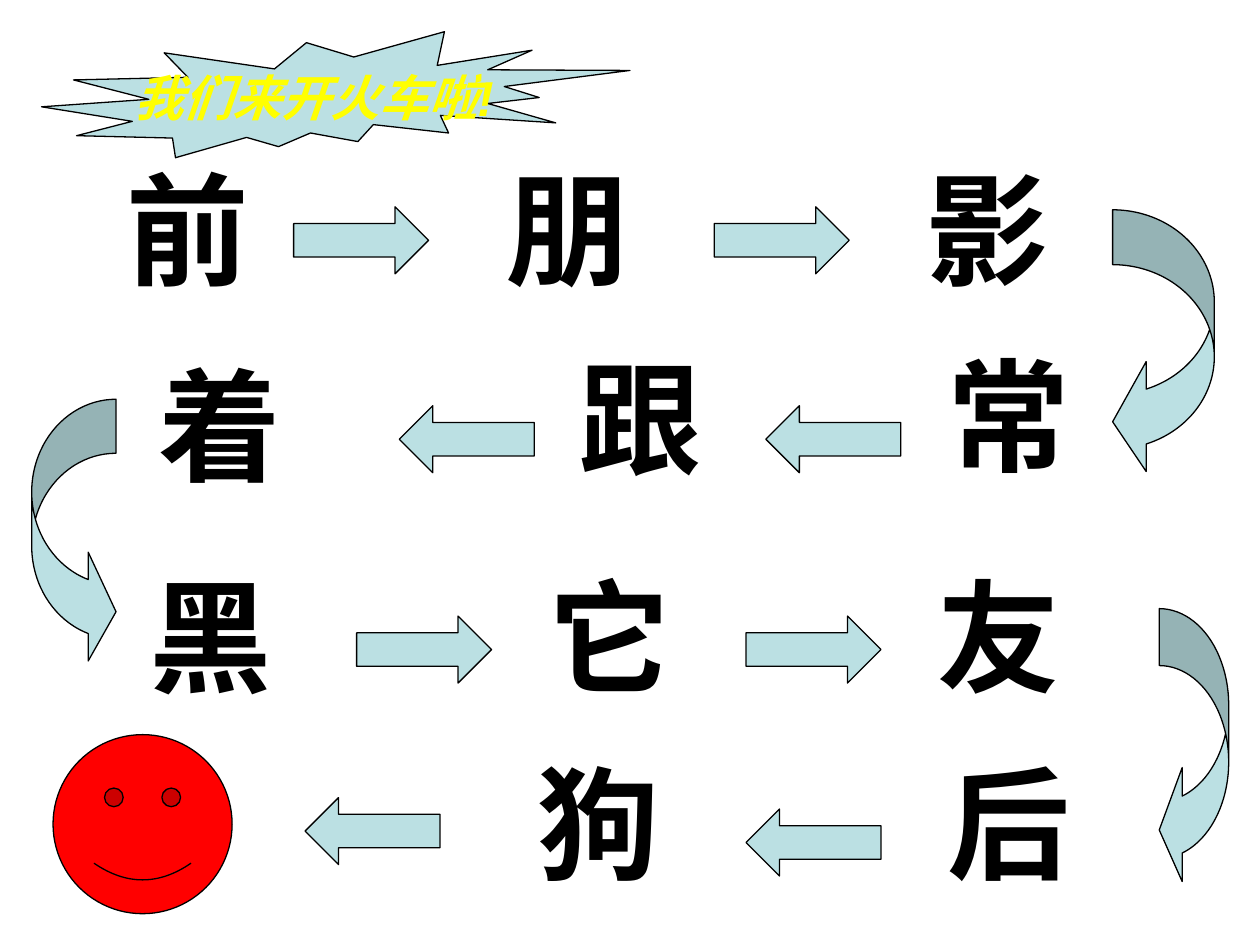
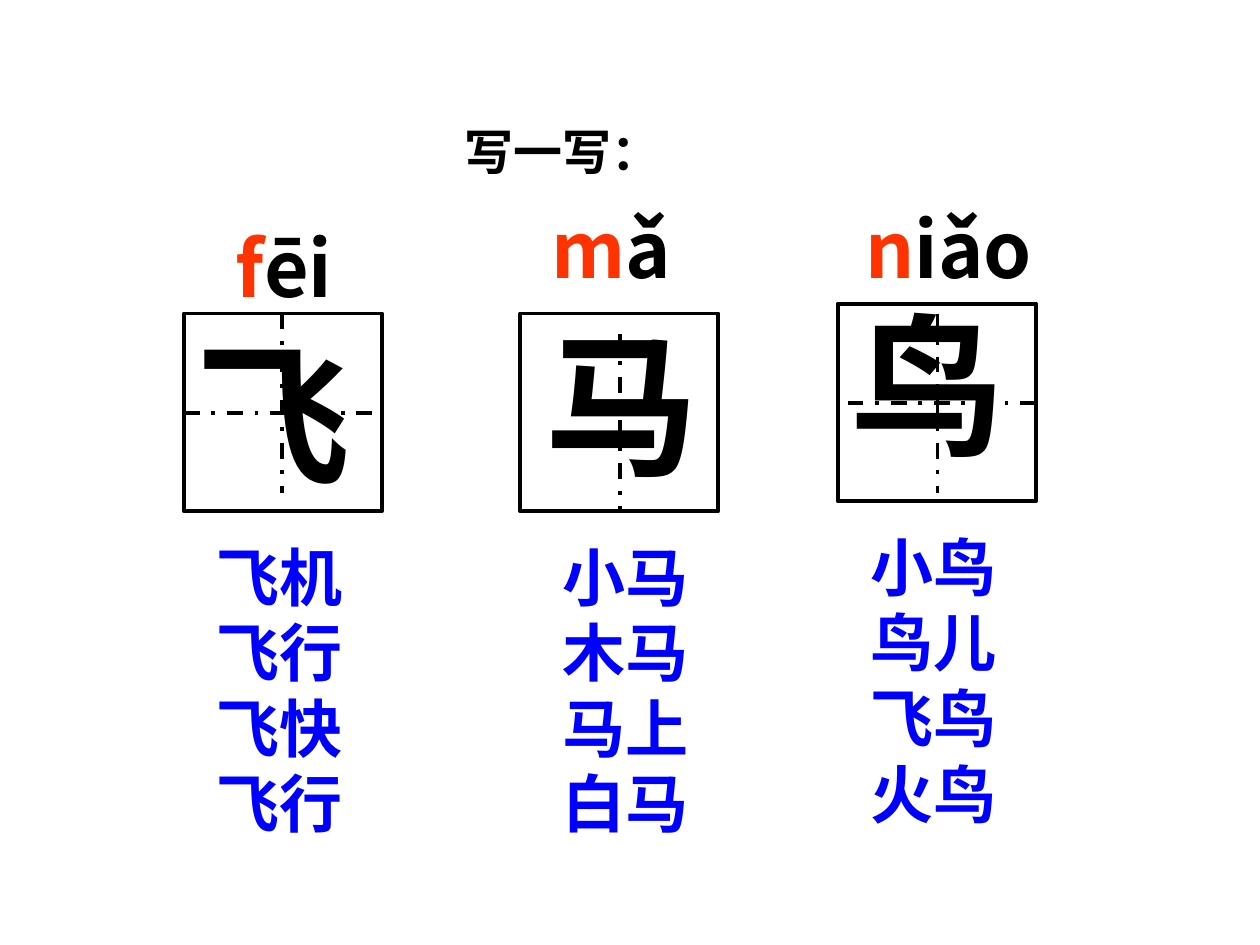
from dataclasses import dataclass

import lxml.etree
import pptx
import pptx.dml.color
import pptx.enum.dml
import pptx.enum.shapes
import pptx.enum.text
import pptx.oxml.ns
import pptx.util
from pptx.util import Cm

RGBColor = pptx.dml.color.RGBColor
Shapes = pptx.enum.shapes.MSO_SHAPE
Align = pptx.enum.text.PP_ALIGN

BLACK = RGBColor(0x00, 0x00, 0x00)
WHITE = RGBColor(0xFF, 0xFF, 0xFF)
PALE_TEAL = RGBColor(0xBB, 0xE0, 0xE3)
RED = RGBColor(0xFF, 0x00, 0x00)
YELLOW = RGBColor(0xFF, 0xFF, 0x00)
BLUE = RGBColor(0x00, 0x00, 0xFF)
ORANGE = RGBColor(0xFF, 0x33, 0x00)

LATIN_FONT = "Arial"
CHINESE_FONT = "Noto Sans CJK SC"
ARROW_SIZE = (2.72, 1.35)
SQUARE_SIDE = 3.99


@dataclass(frozen=True)
class Box:
    """A rectangle in centimetres."""
    left: float
    top: float
    width: float
    height: float

    def lengths(self) -> tuple:
        return Cm(self.left), Cm(self.top), Cm(self.width), Cm(self.height)


@dataclass(frozen=True)
class Turn:
    """A curved arrow that leads from the end of one row to the next."""
    kind: Shapes
    box: Box
    band: float
    head: float


@dataclass(frozen=True)
class PracticeColumn:
    character: str
    initial: str
    final: str
    words: tuple
    square: tuple
    guides: tuple
    character_box: Box
    pinyin_box: Box
    words_box: Box


CHARACTERS = (
    ("前", 2.31, 2.97), ("朋", 9.96, 2.97), ("影", 18.42, 2.97),
    ("常", 18.85, 6.73), ("跟", 11.43, 6.78), ("着", 2.95, 6.93),
    ("黑", 2.77, 11.18), ("它", 10.8, 11.18), ("友", 18.64, 11.18),
    ("后", 18.85, 14.96), ("狗", 10.59, 14.96),
)
ARROWS = (
    (Shapes.RIGHT_ARROW, ((5.92, 4.17), (14.4, 4.17), (7.19, 12.42), (15.04, 12.42))),
    (Shapes.LEFT_ARROW, ((15.44, 8.18), (8.05, 8.18), (15.04, 16.31), (6.15, 16.08))),
)
TURNS = (
    Turn(Shapes.CURVED_LEFT_ARROW, Box(22.43, 4.23, 2.05, 5.38), 0.54, 1.08),
    Turn(Shapes.CURVED_RIGHT_ARROW, Box(0.64, 8.05, 1.7, 5.38), 0.64, 1.29),
    Turn(Shapes.CURVED_LEFT_ARROW, Box(23.37, 12.27, 1.4, 5.61), 0.82, 1.64),
)
COLUMNS = (
    PracticeColumn(
        "飞", "f", "ēi", ("飞机", "飞行", "飞快", "飞行"), (3.71, 6.32),
        ((3.71, 8.33, 7.49, 8.33), (5.69, 6.32, 5.69, 9.93)),
        Box(3.71, 6.32, 3.61, 3.99), Box(4.5, 4.32, 2.46, 2.13), Box(4.11, 10.72, 3.05, 6.35)),
    PracticeColumn(
        "马", "m", "ǎ", ("小马", "木马", "马上", "白马"), (10.49, 6.32),
        ((12.5, 6.73, 12.5, 10.31),),
        Box(10.72, 6.12, 3.61, 3.99), Box(10.87, 3.94, 2.92, 2.13), Box(11.1, 10.72, 3.05, 6.35)),
    PracticeColumn(
        "鸟", "n", "iǎo", ("小鸟", "鸟儿", "飞鸟", "火鸟"), (16.89, 6.12),
        ((17.09, 8.13, 20.9, 8.13), (18.9, 6.32, 18.9, 9.93)),
        Box(16.89, 5.72, 3.63, 3.99), Box(17.2, 3.94, 3.86, 2.13), Box(17.3, 10.52, 3.99, 6.35)),
)


def write_text(shape, lines, *, size: float, color: RGBColor = BLACK, font: str = LATIN_FONT,
               italic: bool = False, align=Align.LEFT) -> None:
    """Fill a shape with lines; a line is a string or a tuple of (text, colour) runs."""
    frame = shape.text_frame
    frame.word_wrap = False
    frame.margin_left = frame.margin_right = Cm(0.25)
    frame.margin_top = frame.margin_bottom = Cm(0.13)
    for index, line in enumerate(lines):
        paragraph = frame.add_paragraph() if index else frame.paragraphs[0]
        paragraph.alignment = align
        runs = ((line, color),) if isinstance(line, str) else line
        for text, run_color in runs:
            run = paragraph.add_run()
            run.text = text
            run.font.size = pptx.util.Pt(size)
            run.font.bold = True
            run.font.italic = italic
            run.font.color.rgb = run_color
            run.font.name = font
            east_asian = lxml.etree.SubElement(run.font._element, pptx.oxml.ns.qn("a:ea"))
            east_asian.set("typeface", CHINESE_FONT)


def add_text(slide, box: Box, lines, **text_format) -> None:
    write_text(slide.shapes.add_textbox(*box.lengths()), lines, **text_format)


def add_outlined_shape(slide, kind, box: Box, fill: RGBColor, line_width: float = 0.75):
    shape = slide.shapes.add_shape(kind, *box.lengths())
    shape.shadow.inherit = False
    shape.fill.solid()
    shape.fill.fore_color.rgb = fill
    shape.line.color.rgb = BLACK
    shape.line.width = pptx.util.Pt(line_width)
    return shape


def add_guide(slide, ends: tuple) -> None:
    """Draw a dash-dot line inside a writing square."""
    guide = slide.shapes.add_connector(
        pptx.enum.shapes.MSO_CONNECTOR.STRAIGHT, *(Cm(end) for end in ends))
    guide.line.color.rgb = BLACK
    guide.line.width = pptx.util.Pt(2.25)
    guide.line.dash_style = pptx.enum.dml.MSO_LINE.DASH_DOT
    lxml.etree.SubElement(guide._element.spPr, pptx.oxml.ns.qn("a:effectLst"))


def add_turn(slide, turn: Turn) -> None:
    shape = add_outlined_shape(slide, turn.kind, turn.box, PALE_TEAL)
    for index, value in enumerate((turn.band, turn.head, 0.33)):
        shape.adjustments[index] = value


def build_train_slide(slide) -> None:
    for kind, corners in ARROWS:
        for left, top in corners:
            add_outlined_shape(slide, kind, Box(left, top, *ARROW_SIZE), PALE_TEAL)
    for turn in TURNS:
        add_turn(slide, turn)
    for character, left, top in CHARACTERS:
        add_text(slide, Box(left, top, 2.97, 3.23), (character,), size=70)
    add_outlined_shape(slide, Shapes.SMILEY_FACE, Box(1.07, 14.81, 3.61, 3.61), RED)
    burst = add_outlined_shape(slide, Shapes.EXPLOSION2, Box(0.84, 0.64, 11.86, 2.54), PALE_TEAL)
    write_text(burst, ("我们来开火车啦!",), size=28, color=YELLOW, italic=True,
               align=Align.CENTER)


def add_practice_column(slide, column: PracticeColumn) -> None:
    square = Box(*column.square, SQUARE_SIDE, SQUARE_SIDE)
    add_outlined_shape(slide, Shapes.RECTANGLE, square, WHITE, line_width=2.25)
    for ends in column.guides:
        add_guide(slide, ends)
    add_text(slide, column.character_box, (column.character,), size=88)
    pinyin = ((column.initial, ORANGE), (column.final, BLACK))
    add_text(slide, column.pinyin_box, (pinyin,), size=44, font=CHINESE_FONT)
    add_text(slide, column.words_box, column.words, size=36, color=BLUE)


def build_writing_slide(slide) -> None:
    add_text(slide, Box(9.12, 2.31, 4.95, 1.45), ("写一写：",), size=28, font=CHINESE_FONT)
    for column in COLUMNS:
        add_practice_column(slide, column)


def main() -> None:
    presentation = pptx.Presentation()
    presentation.slide_width, presentation.slide_height = Cm(25.4), Cm(19.05)
    blank_layout = presentation.slide_layouts[6]
    for build in (build_train_slide, build_writing_slide):
        build(presentation.slides.add_slide(blank_layout))
    presentation.save("out.pptx")


if __name__ == "__main__":
    main()
